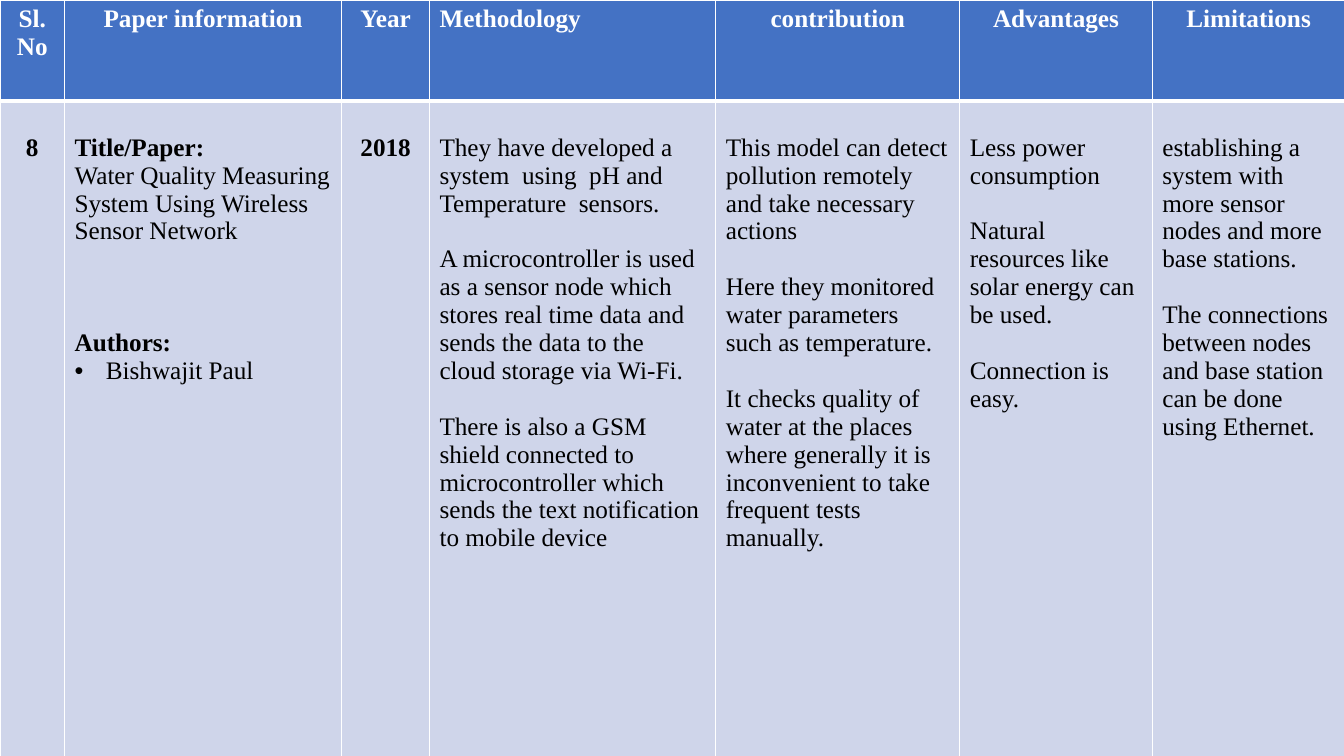
from lxml.etree import SubElement
from pptx import Presentation
from pptx.dml.color import RGBColor
from pptx.enum.text import PP_ALIGN
from pptx.oxml import parse_xml
from pptx.oxml.ns import nsdecls, qn
from pptx.util import Inches, Pt

FONT = "Times New Roman"
LINE = 19.93
HEADER_BLUE, BODY_BLUE, WHITE, BLACK = "4472C4", "CFD5EA", "FFFFFF", "000000"
WIDTHS = [0.64, 2.75, 0.87, 2.84, 2.42, 1.91, 1.91]
HEIGHTS = [1.0, 6.68]
HEADINGS = ["Sl. No", "Paper information", "Year", "Methodology",
            "contribution", "Advantages", "Limitations"]
PAPER_TITLE = "Water Quality Measuring System Using Wireless Sensor Network"
METHODOLOGY = [
    "They have developed a system  using  pH and Temperature  sensors.",
    "A microcontroller is used as a sensor node which stores real time data "
    "and sends the data to the cloud storage via Wi-Fi.",
    "There is also a GSM shield connected to microcontroller which sends the "
    "text notification to mobile device",
]
CONTRIBUTION = [
    "This model can detect pollution remotely and take necessary actions",
    "Here they monitored water parameters such as temperature.",
    "It checks quality of water at the places where generally it is "
    "inconvenient to take frequent tests manually.",
]
ADVANTAGES = [
    "Less power consumption",
    "Natural resources like solar energy can be used.",
    "Connection is easy.",
]
LIMITATIONS = [
    "establishing a system with more sensor nodes and more base stations.",
    "The connections between nodes and base station can be done using Ethernet.",
]


def color(value):
    return RGBColor.from_string(value)


def set_borders(cell, **widths):
    properties = cell._tc.get_or_add_tcPr()
    for position, side in enumerate("LRTB"):
        width = Pt(widths.get(side, 1))
        properties.insert(position, parse_xml(
            f'<a:ln{side} {nsdecls("a")} w="{width}"><a:solidFill>'
            f'<a:srgbClr val="{WHITE}"/></a:solidFill></a:ln{side}>'))


def style_cell(cell, fill, **border_widths):
    cell.fill.solid()
    cell.fill.fore_color.rgb = color(fill)
    set_borders(cell, **border_widths)


def write(cell, text, ink=BLACK, bold=False, centered=False, lines_before=0):
    frame = cell.text_frame
    paragraph = frame.add_paragraph() if frame.text else frame.paragraphs[0]
    paragraph.text = text
    paragraph.alignment = PP_ALIGN.CENTER if centered else PP_ALIGN.LEFT
    if lines_before:
        paragraph.space_before = Pt(lines_before * LINE)
    paragraph.font.name = FONT
    paragraph.font.size = Pt(18)
    paragraph.font.bold = bold
    paragraph.font.color.rgb = color(ink)
    return paragraph


def write_points(cell, points):
    for index, point in enumerate(points):
        write(cell, point, lines_before=min(index, 1))


def add_bullet(paragraph):
    properties = paragraph._p.get_or_add_pPr()
    properties.set("marL", str(Inches(0.31)))
    properties.set("indent", str(-Inches(0.31)))
    bullet_font = SubElement(properties, qn("a:buFont"))
    bullet_font.set("typeface", "Arial")
    bullet = SubElement(properties, qn("a:buChar"))
    bullet.set("char", "•")
    properties.append(properties.find(qn("a:defRPr")))


def add_review_table(slide):
    review = slide.shapes.add_table(
        len(HEIGHTS), len(WIDTHS), 0, 0,
        Inches(sum(WIDTHS)), Inches(sum(HEIGHTS))).table
    for column, width in zip(review.columns, WIDTHS):
        column.width = Inches(width)
    for row, height in zip(review.rows, HEIGHTS):
        row.height = Inches(height)
    return review


def fill_header(cells):
    for cell, heading in zip(cells, HEADINGS):
        style_cell(cell, HEADER_BLUE, B=3)
        write(cell, heading, WHITE, bold=True,
              centered=heading != "Methodology")


def fill_paper(cells):
    for cell in cells:
        style_cell(cell, BODY_BLUE, T=3)
        cell.margin_top = Inches(0.05) + Pt(LINE)
    number, information, year, *findings = cells
    write(number, "8", bold=True, centered=True)
    write(information, "Title/Paper:", bold=True)
    write(information, PAPER_TITLE)
    write(information, "Authors:", bold=True, lines_before=3)
    add_bullet(write(information, "Bishwajit Paul"))
    write(year, "2018", bold=True, centered=True)
    for cell, points in zip(
            findings, [METHODOLOGY, CONTRIBUTION, ADVANTAGES, LIMITATIONS]):
        write_points(cell, points)


def main():
    presentation = Presentation()
    presentation.slide_width = Inches(13.33)
    presentation.slide_height = Inches(7.5)
    slide = presentation.slides.add_slide(presentation.slide_layouts[6])
    review = add_review_table(slide)
    header, paper = review.rows
    fill_header(header.cells)
    fill_paper(paper.cells)
    presentation.save("out.pptx")


if __name__ == "__main__":
    main()
